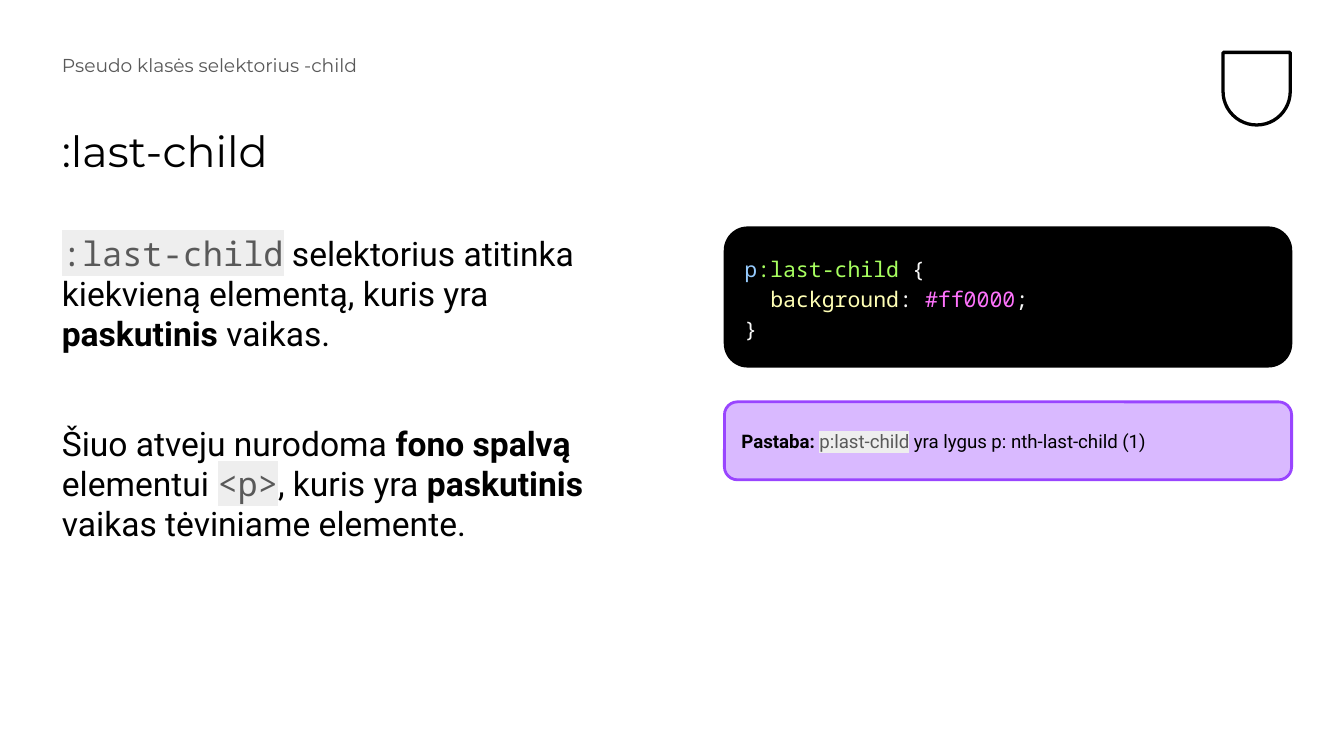
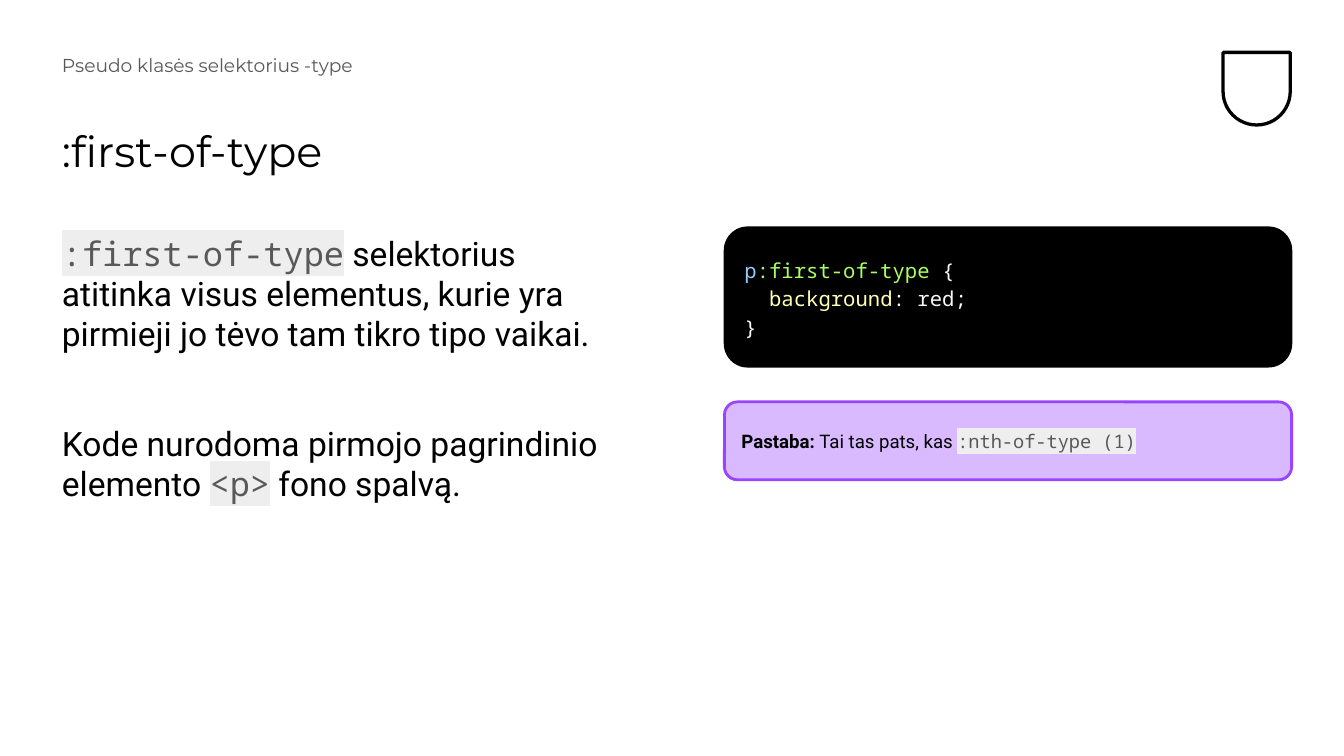
import copy

import pptx
import pptx.dml.color
import pptx.enum.shapes
import pptx.enum.text
import pptx.oxml
import pptx.oxml.ns
import pptx.util
from lxml import etree

SHAPES = pptx.enum.shapes.MSO_SHAPE
ANCHOR = pptx.enum.text.MSO_ANCHOR

# Each text is a list of paragraphs; each paragraph a list of (style, words).
SLIDES = [
    {
        "topic": "Pseudo klasės selektorius -child",
        "title": ":last-child",
        "body": [
            [("mono", ":last-child"),
             ("plain", " selektorius atitinka kiekvieną elementą, kuris yra "),
             ("bold", "paskutinis "), ("plain", "vaikas.")],
            [("plain", "Šiuo atveju nurodoma "), ("bold", "fono spalvą"),
             ("plain", " elementui "), ("mono", "<p>"), ("plain", ", kuris yra "),
             ("bold", "paskutinis "), ("plain", "vaikas tėviniame elemente.")],
        ],
        "code_size": 11.5,
        "code": [("tag", "p"), ("selector", ":last-child"), ("symbol", " {\n  "),
                 ("property", "background"), ("symbol", ": "),
                 ("value", "#ff0000"), ("symbol", ";\n}")],
        "note": [("bold", "Pastaba: "), ("marked", "p:last-child"),
                 ("plain", " yra lygus p: nth-last-child (1)")],
    },
    {
        "topic": "Pseudo klasės selektorius -type",
        "title": ":first-of-type",
        "body": [
            [("mono", ":first-of-type"),
             ("plain", " selektorius atitinka visus elementus, kurie yra "
                       "pirmieji jo tėvo tam tikro tipo vaikai.")],
            [("plain", "Kode nurodoma pirmojo pagrindinio elemento "),
             ("mono", "<p>"), ("plain", " fono spalvą.")],
        ],
        "code_size": 11,
        "code": [("tag", "p"), ("selector", ":first-of-type"), ("symbol", " {\n  "),
                 ("property", "background"), ("symbol", ": red;\n}")],
        "note": [("bold", "Pastaba: "), ("plain", "Tai tas pats, kas "),
                 ("mono", ":nth-of-type (1)")],
    },
]

HEADING, PROSE, MONO = "Montserrat", "Roboto", "Noto Sans Mono"
THEME = {
    "ink": "000000",
    "paper": "FFFFFF",
    "note_fill": "D9B9FF",
    "note_line": "9945FF",
    "sizes": {"title": 23, "topic": 10, "body": 18, "note": 10},
    # style: font, colour, bold, highlight
    "styles": {
        "title": (HEADING, "000000", False, None),
        "topic": (HEADING, "595959", False, None),
        "plain": (PROSE, "000000", False, None),
        "bold": (PROSE, "000000", True, None),
        "marked": (PROSE, "595959", False, "EEEEEE"),
        "mono": (MONO, "595959", False, "EEEEEE"),
        "tag": (MONO, "96CBFE", False, None),
        "selector": (MONO, "A8FF60", False, None),
        "symbol": (MONO, "F8F8F8", False, None),
        "property": (MONO, "FFFFB6", False, None),
        "value": (MONO, "FF73FD", False, None),
    },
}

PX = 4572  # 200 px to the inch
SLIDE_SIZE = (2000, 1125)
LEFT, PANEL_LEFT, COLUMN, CONTENT_TOP = 78, 1078, 844, 338
CODE_HEIGHT, PANEL_GAP, NOTE_HEIGHT = 208, 52, 116
PLACES = {
    "title": (LEFT, 186, 1686, 90),
    "topic": (LEFT, 76, 922, 74),
    "body": (LEFT, CONTENT_TOP, COLUMN, 728),
    "code": (PANEL_LEFT, CONTENT_TOP, COLUMN, CODE_HEIGHT),
    "note": (PANEL_LEFT, CONTENT_TOP + CODE_HEIGHT + PANEL_GAP, COLUMN, NOTE_HEIGHT),
    "badge": (1820, 78, 100, 108),
}
TEXT_INSETS = (14, 8)
PANEL_INSETS = (20, 20)
BODY_GAP = 37


def emu(lengths):
    return [pptx.util.Emu(length * PX) for length in lengths]


def rgb(value):
    return pptx.dml.color.RGBColor.from_string(value)


def apply(target, values):
    for name, value in values.items():
        setattr(target, name, value)


def add_styled_run(paragraph, text, style, size):
    family, color, bold, highlight = THEME["styles"][style]
    run = paragraph.add_run()
    run.text = text
    apply(run.font, {"name": family, "size": pptx.util.Pt(size), "bold": bold})
    run.font.color.rgb = rgb(color)
    if highlight:
        properties = run.font._element
        mark = etree.Element(pptx.oxml.ns.qn("a:highlight"))
        etree.SubElement(mark, pptx.oxml.ns.qn("a:srgbClr"), val=highlight)
        properties.find(pptx.oxml.ns.qn("a:solidFill")).addnext(mark)
    return run


def write(shape, paragraphs, size, insets, anchor=ANCHOR.TOP, spacing=1.0, gap=0):
    """Fill a shape with styled paragraphs; a newline in a run breaks the line."""
    frame = shape.text_frame
    across, down = emu(insets)
    apply(frame, {
        "word_wrap": True, "auto_size": pptx.enum.text.MSO_AUTO_SIZE.NONE,
        "vertical_anchor": anchor, "margin_left": across, "margin_right": across,
        "margin_top": down, "margin_bottom": down,
    })
    for number, pieces in enumerate(paragraphs):
        paragraph = frame.add_paragraph() if number else frame.paragraphs[0]
        apply(paragraph, {
            "alignment": pptx.enum.text.PP_ALIGN.LEFT, "line_spacing": spacing,
            "space_before": pptx.util.Pt(gap if number else 0),
        })
        run = None
        for style, words in pieces:
            for index, line in enumerate(words.split("\n")):
                if index:
                    paragraph.add_line_break()
                    paragraph._p[-1].append(copy.deepcopy(run.font._element))
                if line:
                    run = add_styled_run(paragraph, line, style, size)


def add_panel(slide, kind, place, fill, line, width):
    shape = slide.shapes.add_shape(kind, *emu(PLACES[place]))
    shape.shadow.inherit = False
    shape.fill.solid()
    shape.fill.fore_color.rgb = rgb(fill)
    shape.line.color.rgb = rgb(line)
    shape.line.width = pptx.util.Pt(width)
    return shape


def add_badge(slide):
    badge = add_panel(slide, SHAPES.ROUND_2_SAME_RECTANGLE, "badge",
                      THEME["paper"], THEME["ink"], 1.75)
    badge.adjustments[0] = 0.5
    badge.rotation = 180


def add_lesson(presentation, lesson):
    slide = presentation.slides.add_slide(presentation.slide_layouts[5])
    sizes = THEME["sizes"]
    add_badge(slide)

    title = slide.shapes.title
    apply(title, dict(zip(("left", "top", "width", "height"), emu(PLACES["title"]))))
    write(title, [[("title", lesson["title"])]], sizes["title"], TEXT_INSETS, spacing=0.9)

    topic = slide.shapes.add_textbox(*emu(PLACES["topic"]))
    write(topic, [[("topic", lesson["topic"])]], sizes["topic"], TEXT_INSETS, spacing=0.9)

    body = slide.shapes.add_textbox(*emu(PLACES["body"]))
    write(body, lesson["body"], sizes["body"], TEXT_INSETS, gap=BODY_GAP)

    code = add_panel(slide, SHAPES.ROUNDED_RECTANGLE, "code",
                     THEME["ink"], THEME["ink"], 0.75)
    write(code, [lesson["code"]], lesson["code_size"], PANEL_INSETS, ANCHOR.MIDDLE, 1.15)

    note = add_panel(slide, SHAPES.ROUNDED_RECTANGLE, "note",
                     THEME["note_fill"], THEME["note_line"], 1.5)
    write(note, [lesson["note"]], sizes["note"], PANEL_INSETS, ANCHOR.MIDDLE)


def main():
    presentation = pptx.Presentation()
    presentation.slide_width, presentation.slide_height = emu(SLIDE_SIZE)
    for lesson in SLIDES:
        add_lesson(presentation, lesson)
    presentation.save("out.pptx")


if __name__ == "__main__":
    main()
